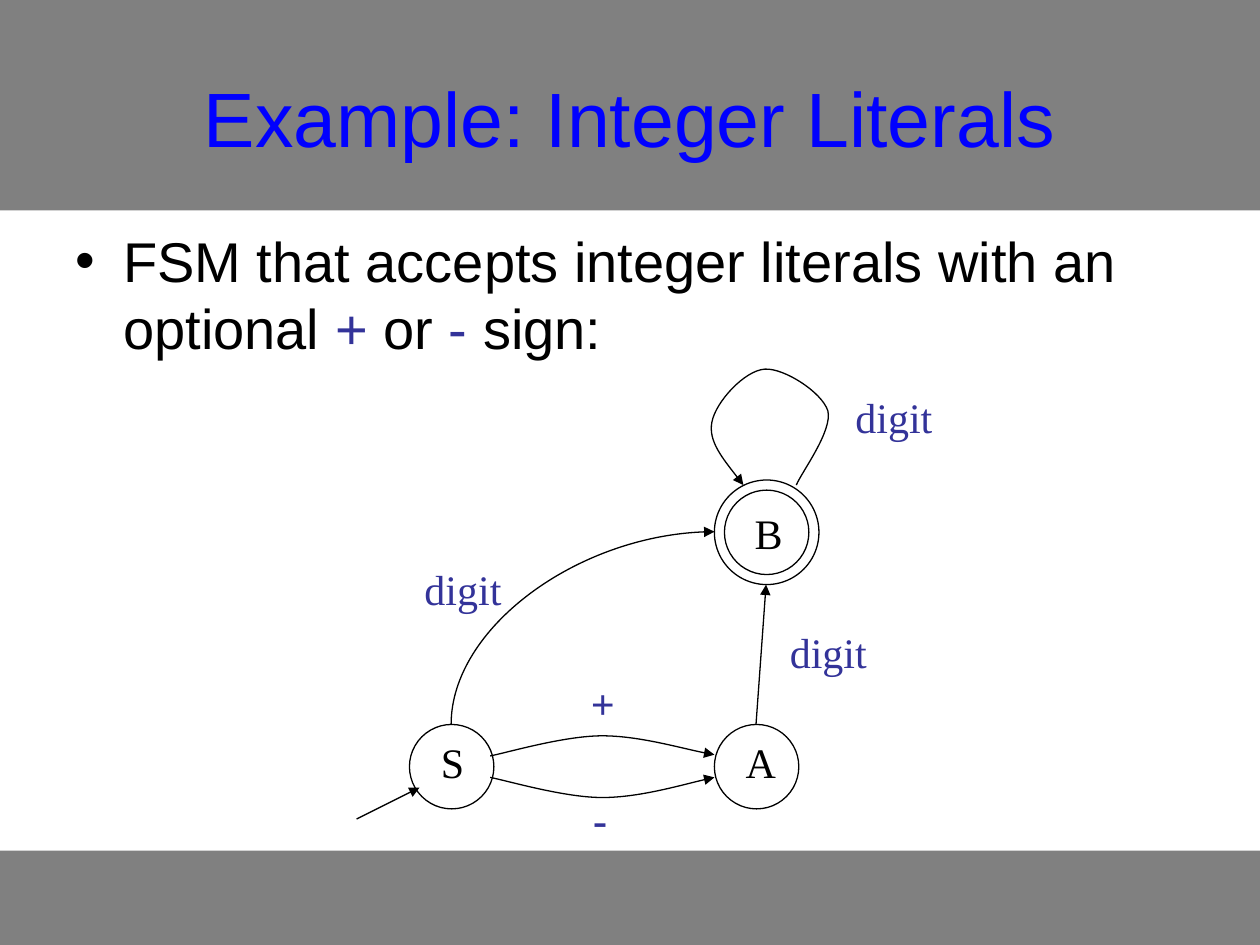
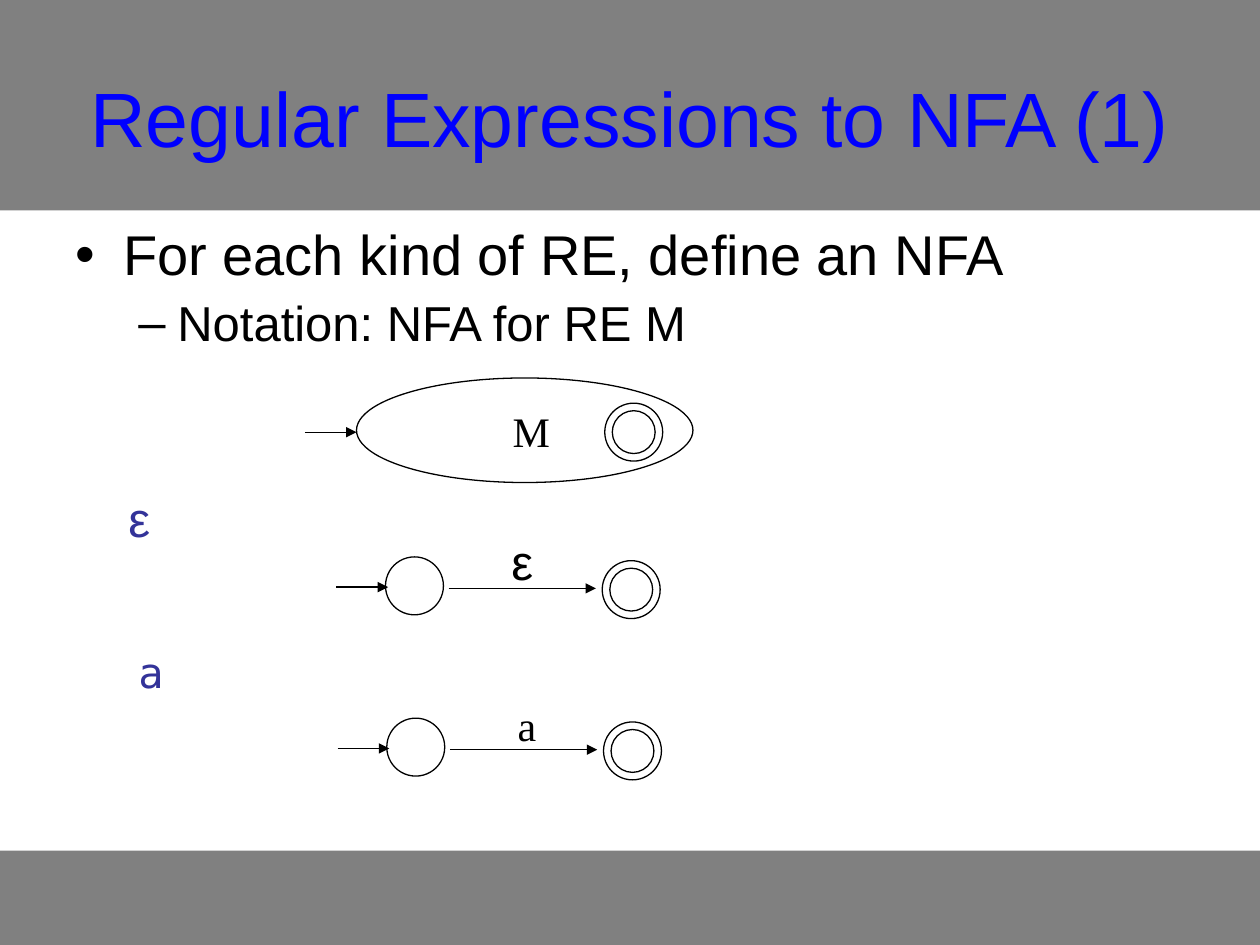
from lxml.etree import SubElement
from pptx import Presentation
from pptx.dml.color import RGBColor
from pptx.enum.shapes import MSO_CONNECTOR, MSO_SHAPE
from pptx.enum.text import MSO_ANCHOR, MSO_AUTO_SIZE, PP_ALIGN
from pptx.oxml.ns import qn
from pptx.util import Inches, Pt

# Shared look
BLACK = RGBColor(0x00, 0x00, 0x00)
GRAY = RGBColor(0x80, 0x80, 0x80)
TITLE_BLUE = RGBColor(0x00, 0x00, 0xFF)
LABEL_BLUE = RGBColor(0x33, 0x33, 0x99)
BANDS = [(0, 6.75, 10, 0.75), (0, 0, 10, 1.67)]
LINE_WIDTH = Pt(0.75)

TITLE = {"name": "Arial", "size": Pt(44), "color": TITLE_BLUE}
BODY = {"name": "Arial", "size": Pt(32), "color": BLACK}
SUB_BODY = {**BODY, "size": Pt(28)}
STATE_NAME = {"name": "Times New Roman", "size": Pt(24), "color": BLACK}
EDGE_LABEL = {**STATE_NAME, "color": LABEL_BLUE}
SIGN_LABEL = {**EDGE_LABEL, "bold": True}
EPSILON_HEADING = {**SUB_BODY, "color": LABEL_BLUE}
CODE_HEADING = {**EDGE_LABEL, "name": "DejaVu Sans Mono"}

BULLET = {"char": "•", "margin": 0.38, "hanging": 0.38}
DASH = {"char": "–", "margin": 0.81, "hanging": 0.31}


# Text
def add_run(paragraph, text, text_format):
    run = paragraph.add_run()
    run.text = text
    for attribute, value in text_format.items():
        if attribute == "color":
            run.font.color.rgb = value
        else:
            setattr(run.font, attribute, value)


def add_text_frame(slide, left, top, width, height, wrap=True):
    box = slide.shapes.add_textbox(*map(Inches, (left, top, width, height)))
    box.text_frame.word_wrap = wrap
    return box.text_frame


def add_title(slide, text):
    frame = add_text_frame(slide, 0.5, 0.3, 9, 1.25)
    frame.vertical_anchor = MSO_ANCHOR.MIDDLE
    paragraph = frame.paragraphs[0]
    paragraph.alignment = PP_ALIGN.CENTER
    add_run(paragraph, text, TITLE)


def add_label(slide, text, left, top, width, text_format, height=0.5):
    frame = add_text_frame(slide, left, top, width, height, wrap=False)
    frame.auto_size = MSO_AUTO_SIZE.SHAPE_TO_FIT_TEXT
    add_run(frame.paragraphs[0], text, text_format)


def add_heading(slide, text, left, top, text_format):
    frame = add_text_frame(slide, left, top, 9.08, 0.67)
    paragraph = frame.paragraphs[0]
    set_indent(paragraph, DASH["margin"], DASH["hanging"])
    add_run(paragraph, text, text_format)


def set_indent(paragraph, margin, hanging):
    properties = paragraph._p.get_or_add_pPr()
    properties.set("marL", str(Inches(margin)))
    properties.set("indent", str(-Inches(hanging)))
    return properties


def add_bullet(paragraph, bullet, runs, **spacing):
    properties = set_indent(paragraph, bullet["margin"], bullet["hanging"])
    color = SubElement(properties, qn("a:buClr"))
    SubElement(color, qn("a:srgbClr"), val=str(BLACK))
    SubElement(properties, qn("a:buFont"), typeface="Arial")
    SubElement(properties, qn("a:buChar"), char=bullet["char"])
    for attribute, value in spacing.items():
        setattr(paragraph, attribute, value)
    for text, text_format in runs:
        add_run(paragraph, text, text_format)


# Lines and states
def style_line(shape, arrow=False):
    shape.line.color.rgb = BLACK
    shape.line.width = LINE_WIDTH
    if arrow:
        line = shape._element.spPr.find(qn("a:ln"))
        SubElement(line, qn("a:tailEnd"), type="triangle")


def add_arrow(slide, start, end, kind=MSO_CONNECTOR.STRAIGHT):
    connector = slide.shapes.add_connector(kind, *map(Inches, (*start, *end)))
    style_line(connector, arrow=True)
    SubElement(connector._element.spPr, qn("a:effectLst"))
    return connector


def add_quarter_arc(slide, start, end):
    """Curve that leaves start upwards and reaches end from the left."""
    center_x, center_y = (start[0] + end[0]) / 2, (start[1] + end[1]) / 2
    half_width, half_height = (start[1] - end[1]) / 2, (end[0] - start[0]) / 2
    connector = add_arrow(slide, (center_x + half_width, center_y + half_height),
                          (center_x - half_width, center_y - half_height),
                          MSO_CONNECTOR.CURVE)
    properties = connector._element.spPr
    properties.find(qn("a:xfrm")).set("rot", str(90 * 60000))
    properties.find(qn("a:prstGeom")).set("prst", "curvedConnector2")


def add_curved_arrow(slide, points):
    """Points are a start, then two controls and an end for each curve."""
    start, *others = [(Inches(x), Inches(y)) for x, y in points]
    builder = slide.shapes.build_freeform(*start)
    builder.add_line_segments(others, close=False)
    curve = builder.convert_to_shape()
    outline = next(curve._element.iter(qn("a:path")))
    segments = outline.findall(qn("a:lnTo"))
    for first in range(0, len(segments), 3):
        bezier = SubElement(outline, qn("a:cubicBezTo"))
        for segment in segments[first:first + 3]:
            bezier.append(segment[0])
            outline.remove(segment)
    curve.shadow.inherit = False
    curve.fill.background()
    style_line(curve, arrow=True)


def add_ellipse(slide, left, top, width, height):
    ellipse = slide.shapes.add_shape(
        MSO_SHAPE.OVAL, *map(Inches, (left, top, width, height)))
    ellipse.shadow.inherit = False
    ellipse.fill.background()
    style_line(ellipse)


def add_state(slide, left, top, size):
    add_ellipse(slide, left, top, size, size)


def add_accepting_state(slide, left, top, size, gap):
    add_state(slide, left + gap, top + gap, size - 2 * gap)
    add_state(slide, left, top, size)


def add_two_state_machine(slide, left, top):
    """Left and top place the start state."""
    add_arrow(slide, (left - 0.39, top + 0.24), (left + 0.02, top + 0.24))
    add_accepting_state(slide, left + 1.72, top + 0.03, 0.46, 0.06)
    add_state(slide, left, top, 0.46)
    add_arrow(slide, (left + 0.5, top + 0.25), (left + 1.67, top + 0.25))


# Slides
def add_base_slide(presentation, title):
    slide = presentation.slides.add_slide(presentation.slide_layouts[6])
    for band_box in BANDS:
        band = slide.shapes.add_shape(MSO_SHAPE.RECTANGLE, *map(Inches, band_box))
        band.shadow.inherit = False
        band.fill.solid()
        band.fill.fore_color.rgb = GRAY
        band.line.fill.background()
    add_title(slide, title)
    return slide


def add_integer_literals_slide(presentation):
    slide = add_base_slide(presentation, "Example: Integer Literals")
    sign = {**BODY, "color": LABEL_BLUE}
    body = add_text_frame(slide, 0.5, 1.75, 9, 4.95)
    add_bullet(body.paragraphs[0], BULLET, [
        ("FSM that accepts integer literals with an optional ", BODY),
        ("+", sign), (" or ", BODY), ("-", sign), (" sign:", BODY)])

    # States S, A and B
    add_state(slide, 3.25, 5.75, 0.67)
    add_state(slide, 5.67, 5.75, 0.67)
    add_accepting_state(slide, 5.67, 3.81, 0.83, 0.08)
    for name, left, top, width in [("S", 3.4, 5.8, 0.38), ("A", 5.82, 5.8, 0.44),
                                   ("B", 5.89, 3.98, 0.42)]:
        add_label(slide, name, left, top, width, STATE_NAME)

    # Transitions
    add_arrow(slide, (2.83, 6.5), (3.33, 6.25))
    add_arrow(slide, (6, 5.75), (6.08, 4.64))
    add_quarter_arc(slide, (3.58, 5.75), (5.67, 4.22))
    add_curved_arrow(slide, [(3.89, 6), (4.04, 5.97), (4.48, 5.84), (4.78, 5.84),
                             (5.07, 5.84), (5.48, 5.96), (5.67, 5.99)])
    add_curved_arrow(slide, [(3.89, 6.17), (4.04, 6.2), (4.48, 6.33), (4.78, 6.33),
                             (5.07, 6.33), (5.48, 6.21), (5.67, 6.17)])
    add_curved_arrow(slide, [(6.32, 3.85), (6.36, 3.75), (6.61, 3.42), (6.57, 3.26),
                             (6.52, 3.11), (6.22, 2.92), (6.07, 2.93),
                             (5.91, 2.94), (5.68, 3.19), (5.65, 3.35),
                             (5.62, 3.5), (5.76, 3.67), (5.9, 3.85)])

    # Transition labels
    for left, top in [(6.69, 3.06), (3.27, 4.42), (6.17, 4.92)]:
        add_label(slide, "digit", left, top, 0.81, EDGE_LABEL)
    add_label(slide, "+", 4.59, 5.33, 0.39, SIGN_LABEL)
    add_label(slide, "-", 4.61, 6.25, 0.31, SIGN_LABEL)


def add_regular_expressions_slide(presentation):
    slide = add_base_slide(presentation, "Regular Expressions to NFA (1)")
    body = add_text_frame(slide, 0.5, 1.75, 9, 1.11)
    add_bullet(body.paragraphs[0], BULLET,
               [("For each kind of RE, define an NFA", BODY)], line_spacing=0.9)
    add_bullet(body.add_paragraph(), DASH, [("Notation: NFA for RE M", SUB_BODY)],
               line_spacing=0.9, space_before=Pt(7))

    # Machine M
    add_ellipse(slide, 2.83, 3, 2.67, 0.83)
    add_label(slide, "M", 3.97, 3.17, 0.49, STATE_NAME)
    add_arrow(slide, (2.42, 3.43), (2.83, 3.43))
    add_accepting_state(slide, 4.8, 3.2, 0.46, 0.06)

    # Machine for the empty string
    add_heading(slide, "ε", 0.42, 3.83, EPSILON_HEADING)
    add_two_state_machine(slide, 3.06, 4.42)
    add_label(slide, "ε", 3.96, 4.17, 0.37, SUB_BODY, height=0.57)

    # Machine for one symbol
    add_heading(slide, "a", 0.5, 5.08, CODE_HEADING)
    add_two_state_machine(slide, 3.07, 5.7)
    add_label(slide, "a", 4.01, 5.5, 0.35, STATE_NAME)


def main():
    presentation = Presentation()
    presentation.slide_width = Inches(10)
    presentation.slide_height = Inches(7.5)
    add_integer_literals_slide(presentation)
    add_regular_expressions_slide(presentation)
    presentation.save("out.pptx")


if __name__ == "__main__":
    main()
